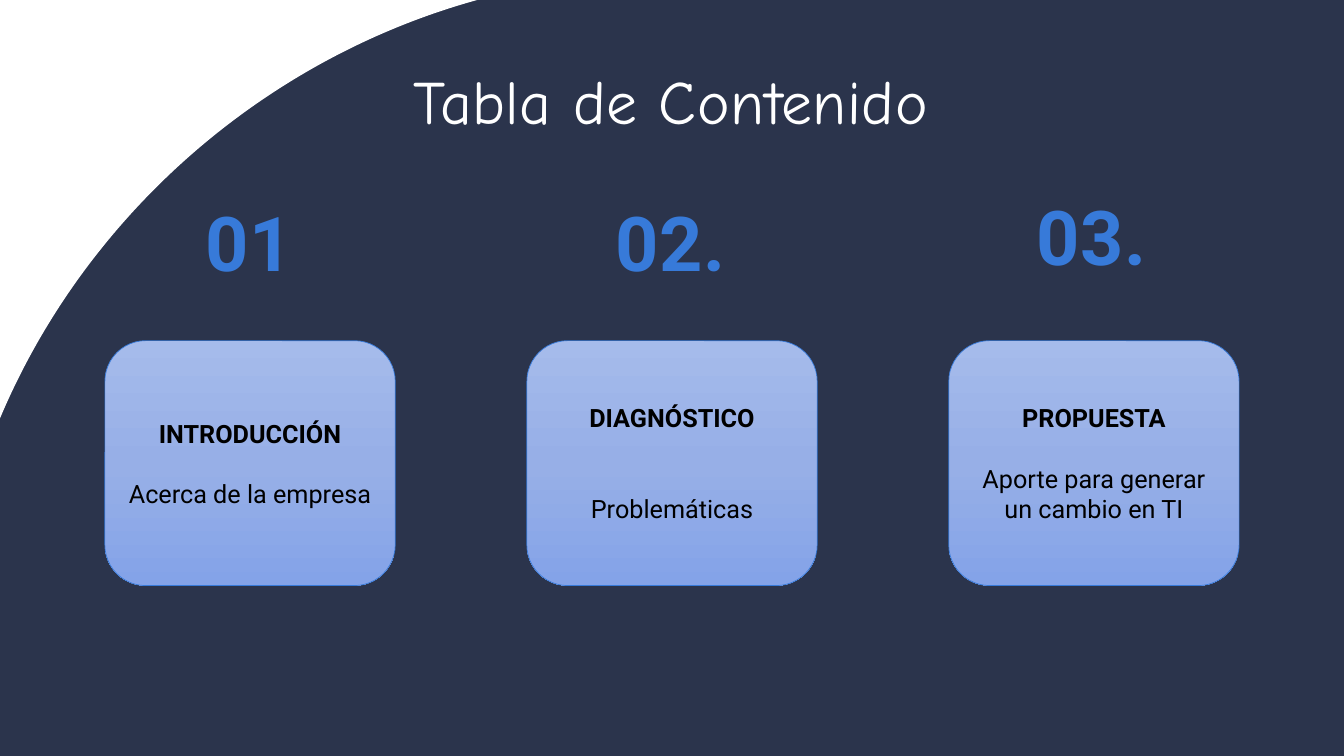
from copy import deepcopy

from pptx import Presentation
from pptx import util as u
from pptx.dml.color import RGBColor
from pptx.enum import shapes, text

WIDTH, HEIGHT = 13.33, 7.5
CARD_LEFT, CARD_TOP, CARD_STEP = 1.04, 3.38, 4.185
CARD_WIDTH, CARD_HEIGHT = 2.88, 2.43
COLORS = {
    "navy": "2B344C",
    "white": "FFFFFF",
    "black": "000000",
    "blue": "377AD9",
}
CARD_GRADIENT = [(0, "A5BBEB"), (0.5, "97AFE7"), (1, "84A3E8")]
NUMBERS = [
    ("01", 1.83, 1.89, 1.29),
    ("02.", 5.97, 1.89, 1.37),
    ("03.", 10.16, 1.83, 1.34),
]
CARDS = [
    ("INTRODUCCIÓN", "Acerca de la empresa", 21.5),
    ("DIAGNÓSTICO", "Problemáticas", 43),
    ("PROPUESTA", "Aporte para generar un cambio en TI", 21.5),
]


def color(name):
    return RGBColor.from_string(COLORS[name])


def inches(*lengths):
    return [u.Inches(length) for length in lengths]


def write(para, words, font="Roboto", size=18, ink="black", bold=False,
          tracking=0, before=0, line_spacing=None):
    para.alignment = text.PP_ALIGN.CENTER
    para.space_before = u.Pt(before)
    if line_spacing:
        para.line_spacing = line_spacing
    span = para.add_run()
    span.text = words
    span.font.name = font
    span.font.size = u.Pt(size)
    span.font.bold = bold
    span.font.color.rgb = color(ink)
    if tracking:
        span._r.get_or_add_rPr().set("spc", str(round(tracking * 100)))


def add_label(page, words, place, wrap=True, inset=True, **style):
    box = page.shapes.add_textbox(*inches(*place))
    frame = box.text_frame
    frame.word_wrap = wrap
    if not inset:
        frame.margin_left = frame.margin_right = 0
        frame.margin_top = frame.margin_bottom = 0
    write(frame.paragraphs[0], words, **style)


def add_outlined(page, kind, place, line, line_width):
    shape = page.shapes.add_shape(kind, *inches(*place))
    shape.shadow.inherit = False
    shape.line.color.rgb = color(line)
    shape.line.width = u.Pt(line_width)
    return shape


def fill_gradient(shape):
    shape.fill.gradient()
    shape.fill.gradient_angle = 270
    first = shape._element.spPr.find(".//{*}gs")
    first.addnext(deepcopy(first))
    for stop, (position, shade) in zip(shape.fill.gradient_stops, CARD_GRADIENT):
        stop.position = position
        stop.color.rgb = RGBColor.from_string(shade)


def add_card(page, column, heading, detail, gap):
    place = (CARD_LEFT + column * CARD_STEP, CARD_TOP, CARD_WIDTH, CARD_HEIGHT)
    card = add_outlined(page, shapes.MSO_SHAPE.ROUNDED_RECTANGLE, place, "blue", 0.5)
    fill_gradient(card)
    frame = card.text_frame
    frame.word_wrap = True
    frame.vertical_anchor = text.MSO_ANCHOR.MIDDLE
    write(frame.paragraphs[0], heading, bold=True)
    write(frame.add_paragraph(), detail, before=gap)


def add_corner_moon(page):
    moon = add_outlined(page, shapes.MSO_SHAPE.MOON, (-0.5, -4.02, 5.04, 10.88), "white", 1)
    moon.rotation = 50.1
    moon.fill.solid()
    moon.fill.fore_color.rgb = color("white")


def main():
    deck = Presentation()
    deck.slide_width, deck.slide_height = inches(WIDTH, HEIGHT)
    page = deck.slides.add_slide(deck.slide_layouts[6])
    page.background.fill.solid()
    page.background.fill.fore_color.rgb = color("navy")

    add_label(page, "Tabla de Contenido", (0.79, 0.72, 11.73, 0.95), inset=False,
              font="Comic Neue", size=44, ink="white", tracking=0.4, line_spacing=0.88)
    for words, left, top, width in NUMBERS:
        add_label(page, words, (left, top, width, 1.01), wrap=False,
                  size=54, ink="blue", bold=True, tracking=0.5)
    for column, card in enumerate(CARDS):
        add_card(page, column, *card)
    add_corner_moon(page)

    deck.save("out.pptx")


if __name__ == "__main__":
    main()
